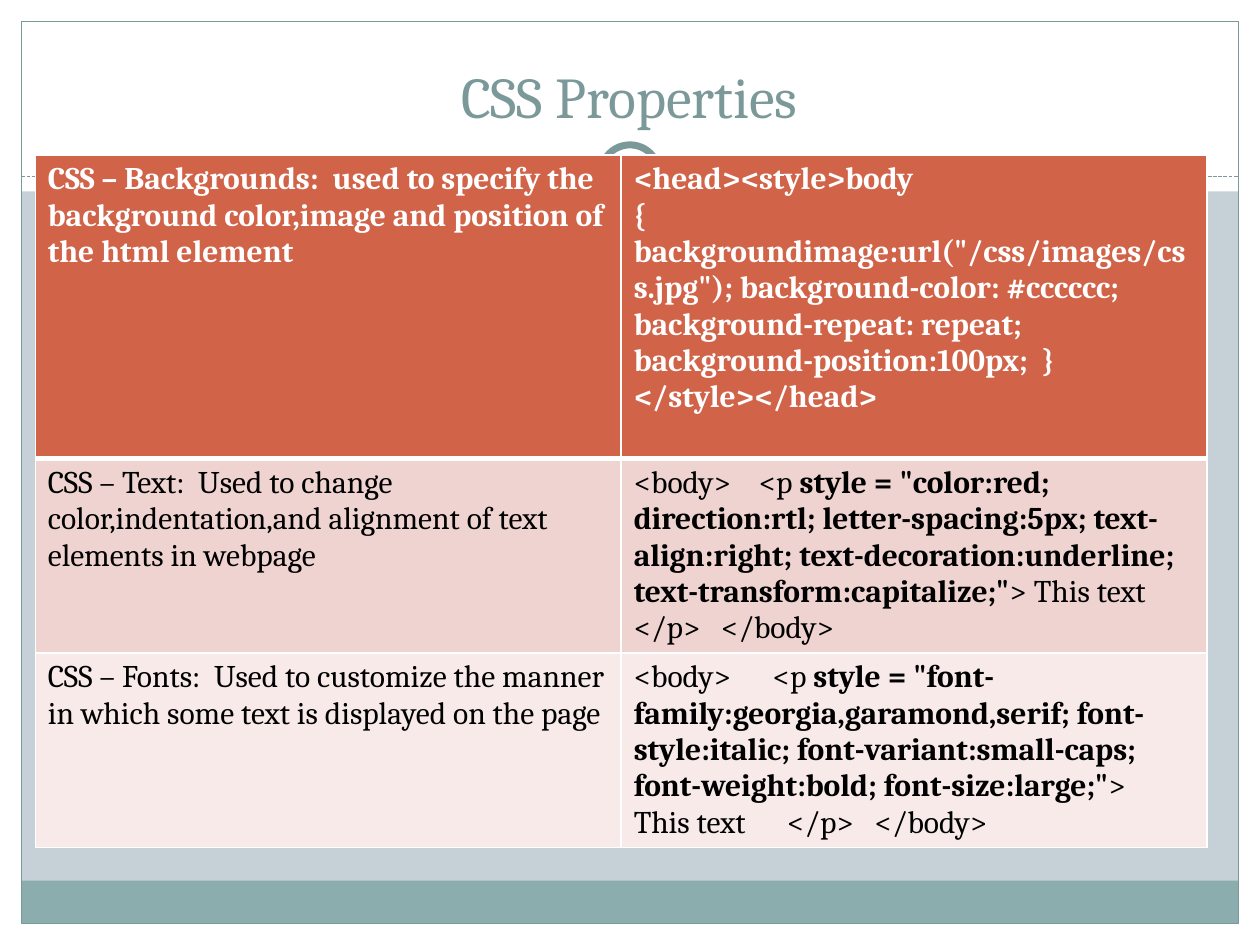
from dataclasses import dataclass

from lxml.etree import SubElement as Sub
from pptx import Presentation
from pptx.dml.color import RGBColor as Rgb
from pptx.enum.dml import MSO_LINE as Dash
from pptx.enum.shapes import MSO_CONNECTOR as Conn, MSO_SHAPE as Kind
from pptx.enum.text import MSO_ANCHOR as Anchor, MSO_AUTO_SIZE as Fit, PP_ALIGN as Align
from pptx.oxml.ns import qn
from pptx.util import Inches, Pt


@dataclass(frozen=True)
class Theme:
    font: str = "Cambria"
    back: str = "C5D1D7"
    white: str = "FFFFFF"
    black: str = "000000"
    teal: str = "7C999A"
    band: str = "8CADAE"
    head: str = "D16349"
    rows: tuple = ("EED3D0", "F7EAE9")
    title: int = 33
    body: int = 18


T = Theme()
WIDE, HIGH, EDGE = 10, 7.5, 0.17

# Each cell is a list of (text, bold) runs; "\v" is a line break
CELLS = [
    [
        [("CSS – Backgrounds:  used to specify the background color,image "
          "and position of the html element", True)],
        [('<head><style>body\v{ backgroundimage:url("/css/images/css.jpg"); '
          "background-color: #cccccc; background-repeat: repeat; "
          "background-position:100px;  } </style></head>", True)],
    ],
    [
        [("CSS – Text:  Used to change color,indentation,and alignment "
          "of text elements in webpage", False)],
        [("<body>    <p ", False),
         ('style = "color:red; direction:rtl; letter-spacing:5px; '
          "text-align:right; text-decoration:underline; "
          'text-transform:capitalize;"', True),
         ("> This text       </p>   </body>", False)],
    ],
    [
        [("CSS – Fonts:  Used to customize the manner in which some text "
          "is displayed on the page", False)],
        [("<body>      <p ", False),
         ('style = "font-family:georgia,garamond,serif; font-style:italic; '
          'font-variant:small-caps; font-weight:bold; font-size:large;"', True),
         (">        This text      </p>   </body>", False)],
    ],
]


def write(para, text, size=T.body, color=T.black, bold=False, align=None):
    """Add text to a paragraph, with a line break at each \\v."""
    if align is not None:
        para.alignment = align
    for i, part in enumerate(text.split("\v")):
        if i:
            para.add_line_break()
        run = para.add_run()
        run.text = part
        font = run.font
        font.name, font.size, font.bold = T.font, Pt(size), bold
        font.color.rgb = Rgb.from_string(color)


def shape(slide, box, kind=Kind.RECTANGLE, fill=None, line=None, width=0.75):
    item = slide.shapes.add_shape(kind, *map(Inches, box))
    item.shadow.inherit = False
    if fill:
        item.fill.solid()
        item.fill.fore_color.rgb = Rgb.from_string(fill)
    else:
        item.fill.background()
    if line:
        item.line.color.rgb = Rgb.from_string(line)
        item.line.width = Pt(width)
    else:
        item.line.fill.background()


def frame(slide, box):
    """White margins, foot band, outline, dashed rule and ring."""
    x, y, w, h = box
    right, foot, rule = x + w, y + h, 1.4
    for side in ((0, foot, WIDE, EDGE), (0, 0, WIDE, 1.52),
                 (0, 0, EDGE, HIGH), (right, 0, EDGE, HIGH)):
        shape(slide, side, fill=T.white)
    shape(slide, (x, foot - 0.34, w, 0.34), fill=T.band)
    shape(slide, box, line=T.teal)

    line = slide.shapes.add_connector(
        Conn.STRAIGHT, *map(Inches, (x, rule, right, rule)))
    line.line.color.rgb = Rgb.from_string(T.teal)
    line.line.width = Pt(0.75)
    line.line.dash_style = Dash.SQUARE_DOT
    Sub(line._element.spPr, qn("a:effectLst"))

    mid = x + w / 2
    for size, edge in ((0.67, None), (0.46, T.teal)):
        shape(slide, (mid - size / 2, 1.38 - size / 2, size, size),
              Kind.OVAL, T.white, edge, 4)


def title(slide, box, text):
    item = slide.shapes.title
    item.left, item.top, item.width, item.height = map(Inches, box)
    body = item.text_frame
    body.word_wrap, body.auto_size = True, Fit.NONE
    body.vertical_anchor = Anchor.BOTTOM
    write(body.paragraphs[0], text, T.title, T.teal, align=Align.CENTER)
    slide.shapes._spTree.append(item._element)  # bring above the frame


def border(cell, **widths):
    props = cell._tc.get_or_add_tcPr()
    for i, side in enumerate("LRTB"):
        line = props.makeelement(qn(f"a:ln{side}"), w=str(Pt(widths.get(side, 1))))
        Sub(Sub(line, qn("a:solidFill")), qn("a:srgbClr"), val=T.white)
        props.insert(i, line)


def table(slide, box, heights):
    grid = slide.shapes.add_table(len(CELLS), 2, *map(Inches, box)).table
    for col in grid.columns:
        col.width = Inches(box[2] / 2)
    for r, (row, high) in enumerate(zip(CELLS, heights)):
        grid.rows[r].height = Inches(high)
        for c, runs in enumerate(row):
            cell = grid.cell(r, c)
            cell.fill.solid()
            cell.fill.fore_color.rgb = Rgb.from_string((T.head, *T.rows)[r])
            border(cell, T=3 if r == 1 else 1, B=3 if r == 0 else 1)
            for text, bold in runs:
                write(cell.text_frame.paragraphs[0], text, bold=bold,
                      color=T.black if r else T.white)


def main():
    deck = Presentation()
    deck.slide_width, deck.slide_height = Inches(WIDE), Inches(HIGH)
    slide = deck.slides.add_slide(deck.slide_layouts[5])
    slide.background.fill.solid()
    slide.background.fill.fore_color.rgb = Rgb.from_string(T.back)
    frame(slide, (EDGE, EDGE, WIDE - 2 * EDGE, HIGH - 2 * EDGE))
    title(slide, (0.33, 0.25, 9.33, 0.83), "CSS Properties")
    heights = (2.41, 1.54, 1.54)
    table(slide, (0.28, 1.23, 9.3, sum(heights)), heights)
    deck.save("out.pptx")


if __name__ == "__main__":
    main()
